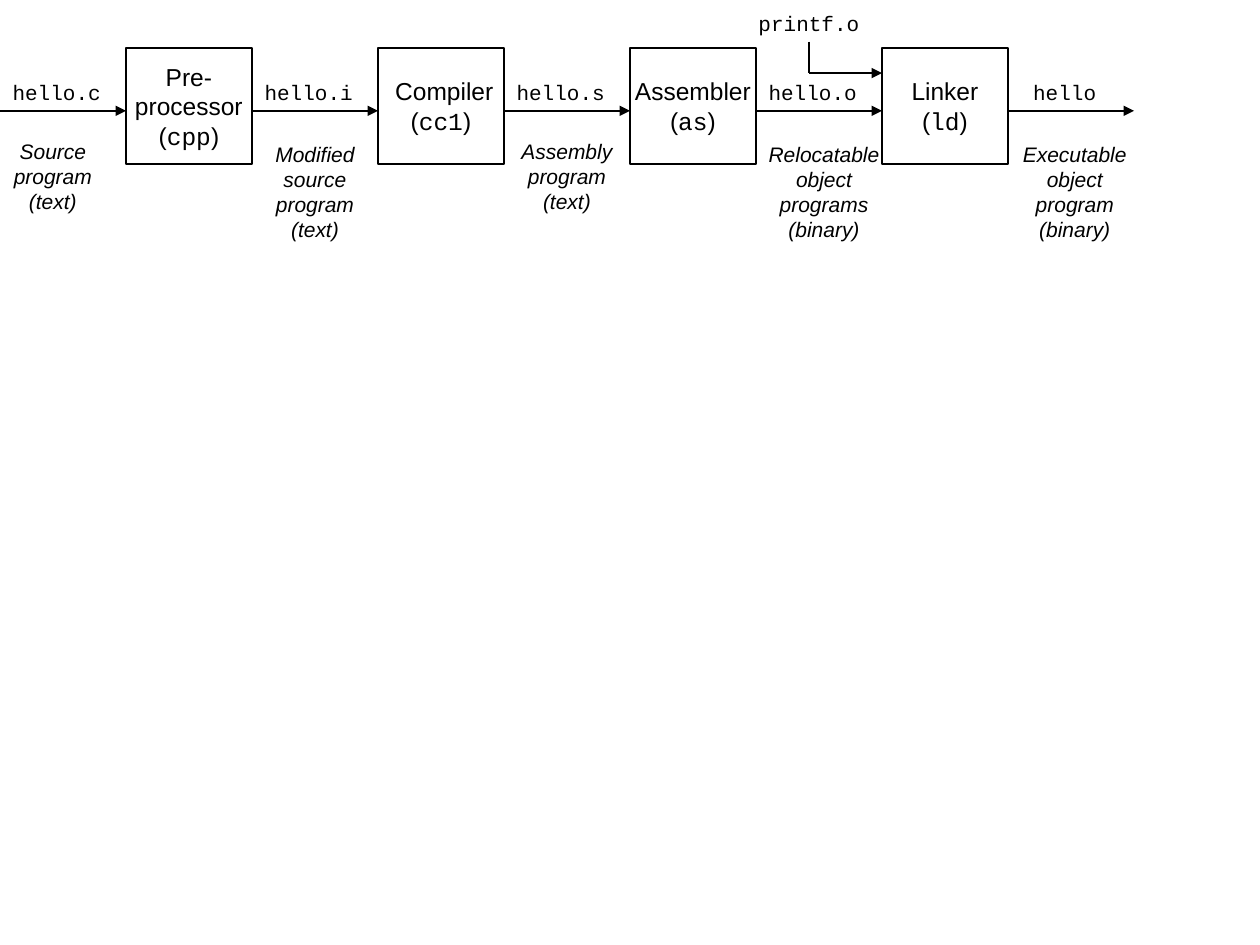
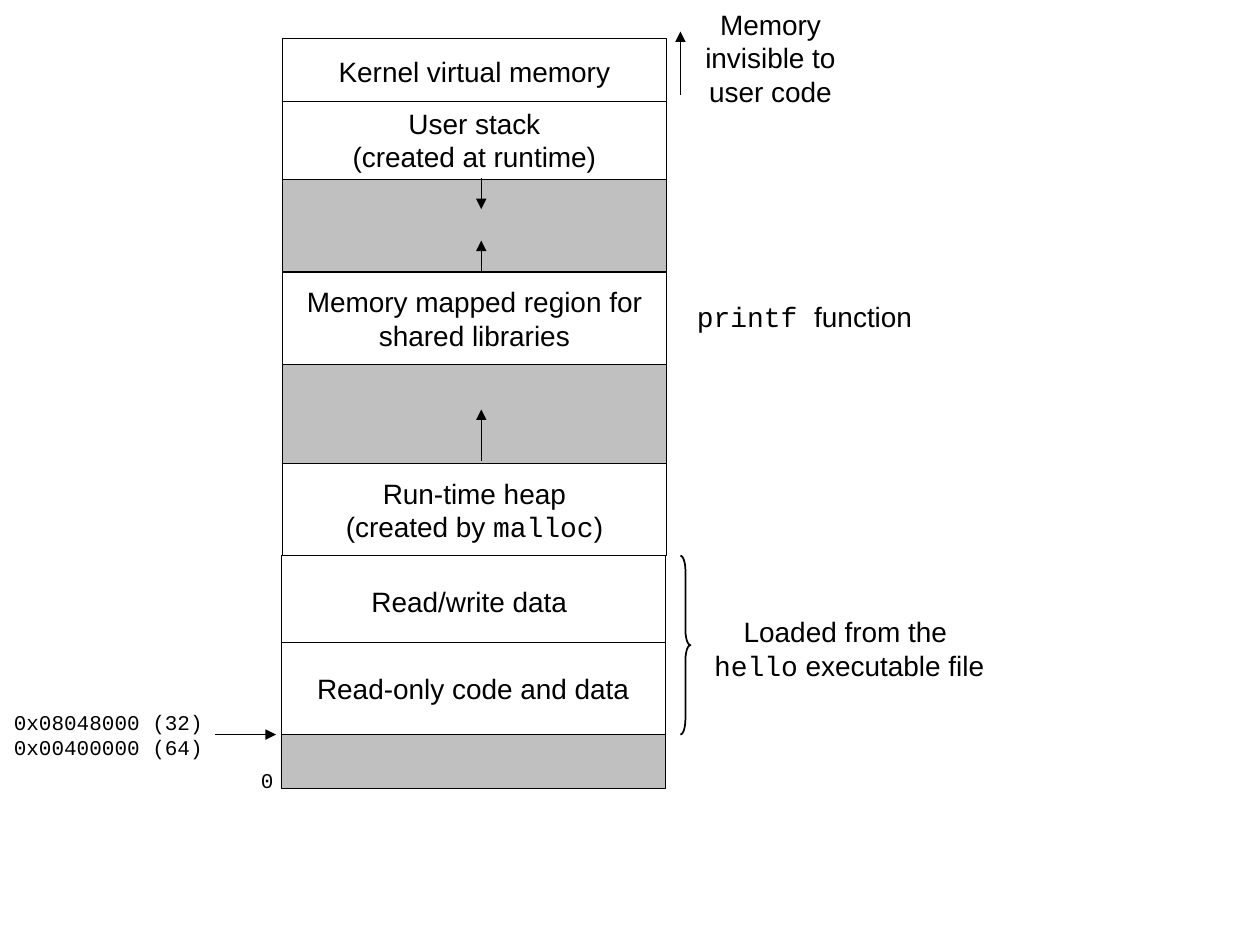
from lxml import etree
from pptx import Presentation
from pptx.dml.color import RGBColor
from pptx.enum.shapes import MSO_CONNECTOR, MSO_SHAPE
from pptx.enum.text import MSO_ANCHOR, MSO_AUTO_SIZE, PP_ALIGN
from pptx.oxml.ns import qn
from pptx.util import Inches, Pt

STRAIGHT = MSO_CONNECTOR.STRAIGHT
RECTANGLE, RIGHT_BRACE = MSO_SHAPE.RECTANGLE, MSO_SHAPE.RIGHT_BRACE
TOP, MIDDLE = MSO_ANCHOR.TOP, MSO_ANCHOR.MIDDLE
FIT_TEXT = MSO_AUTO_SIZE.SHAPE_TO_FIT_TEXT
CENTER = PP_ALIGN.CENTER

COLORS = {"ink": "000000", "used": "FFFFFF", "unused": "C0C0C0"}
BODY, CODE = "Arial", "Courier New"
THIN, NORMAL = 0.25, 1


def color(name):
    return RGBColor.from_string(COLORS[name])


def write(frame, text, size, italic=False, anchor=MIDDLE):
    """Fill a frame with centred lines; words between backticks are code."""
    frame.word_wrap = False
    frame.vertical_anchor = anchor
    for index, line in enumerate(text.split("\n")):
        paragraph = frame.add_paragraph() if index else frame.paragraphs[0]
        paragraph.alignment = CENTER
        font = paragraph.font
        font.size, font.italic = Pt(size), italic
        font.color.rgb = color("ink")
        parts = [(part, CODE if i % 2 else BODY)
                 for i, part in enumerate(line.split("`")) if part]
        if len(parts) == 1:
            font.name = parts[0][1]
        for part, face in parts:
            run = paragraph.add_run()
            run.text = part
            if len(parts) > 1:
                run.font.name = face


def add_label(slide, left, top, width, height, text, size,
              italic=False, anchor=MIDDLE):
    label = slide.shapes.add_textbox(*map(Inches, (left, top, width, height)))
    write(label.text_frame, text, size, italic, anchor)
    label.text_frame.auto_size = FIT_TEXT


def add_code_label(slide, center, top, text, anchor=MIDDLE):
    """Small code label whose box follows from its character count."""
    lines = text.split("\n")
    width = 0.1 * max(map(len, lines)) + 0.2
    code = "\n".join(f"`{line}`" for line in lines)
    add_label(slide, center - width / 2, top, width, 0.2 * len(lines) + 0.1,
              code, 12, anchor=anchor)


def add_outline(slide, kind, left, top, width, height, weight, fill=None):
    shape = slide.shapes.add_shape(
        kind, *map(Inches, (left, top, width, height)))
    shape.shadow.inherit = False
    shape.line.color.rgb = color("ink")
    shape.line.width = Pt(weight)
    if fill:
        shape.fill.solid()
        shape.fill.fore_color.rgb = color(fill)
    else:
        shape.fill.background()
    return shape


def add_line(slide, x1, y1, x2, y2, weight=NORMAL, arrow=True):
    line = slide.shapes.add_connector(
        STRAIGHT, *map(Inches, (x1, y1, x2, y2)))
    line.line.color.rgb = color("ink")
    line.line.width = Pt(weight)
    if arrow:
        outline = line.line._get_or_add_ln()
        etree.SubElement(outline, qn("a:tailEnd"), type="triangle")
    etree.SubElement(line._element.spPr, qn("a:effectLst"))


# Tool boxes of the compilation system
TOOLS = ["Pre-\nprocessor\n(`cpp`)", " Compiler\n(`cc1`)",
         "Assembler\n(`as`)", "Linker\n(`ld`)"]
# File name, description, and the centre and width of the description
FILES = [
    ("hello.c", "Source\nprogram\n(text)", 0.42, 0.86),
    ("hello.i", "Modified\nsource\nprogram\n(text)", 0.5, 0.88),
    ("hello.s", "Assembly\nprogram\n(text)", 0.5, 0.96),
    ("hello.o", "Relocatable\nobject\nprograms\n(binary)", 0.54, 1.12),
    ("hello", "Executable\nobject\nprogram\n(binary)", 0.53, 1.08),
]


def add_file_flow(slide, left, top, file_name, description, center, width):
    """Arrow one inch long with the file name above and its kind below."""
    flow = top + 0.5
    add_line(slide, left, flow, left + 1, flow)
    add_code_label(slide, left + 0.45, flow - 0.3, file_name)
    rows = description.count("\n") + 1
    drop = 0.19 if rows > 3 else 0.17
    add_label(slide, left + center - width / 2, flow + drop, width,
              0.2 * rows + 0.1, description, 12, italic=True)


def add_library_input(slide, left, top):
    """Elbow that leads printf.o into the linker."""
    add_code_label(slide, left, top, "printf.o")
    add_line(slide, left, top + 0.3, left, top + 0.55, arrow=False)
    add_line(slide, left, top + 0.55, left + 0.58, top + 0.55)


def build_compilation(slide, left=0, top=0.38):
    for step, tool in enumerate(TOOLS):
        box = add_outline(slide, RECTANGLE, left + 2 * step + 1, top,
                          1, 0.92, NORMAL)
        write(box.text_frame, tool, 14)
    for step, file in enumerate(FILES):
        add_file_flow(slide, left + 2 * step, top, *file)
    add_library_input(slide, left + 6.42, top - 0.35)


# Text, top within the memory column, height; no text means unused memory
RUNTIME_REGIONS = [
    ("Kernel virtual memory", 0, 0.53),
    ("Memory mapped region for\nshared libraries", 1.86, 0.73),
    ("", 2.59, 0.79),
    ("Run-time heap\n(created by `malloc`)", 3.38, 0.73),
    ("", 0.86, 0.99),
    ("User stack\n(created at runtime)", 0.5, 0.62),
]
LOADED_REGIONS = [
    ("", 5.53, 0.43),
    ("Read/write data ", 4.11, 0.73),
    ("Read-only code and data", 4.8, 0.73),
]
# Start and end of each arrow that shows a region growing
GROWTH = [(3.36, 2.95), (1.86, 1.61), (1.11, 1.36)]


def add_regions(slide, left, top, regions):
    for text, offset, height in regions:
        region = add_outline(slide, RECTANGLE, left, top + offset, 3.05,
                             height, THIN, "used" if text else "unused")
        if text:
            write(region.text_frame, text, 16)


def add_region_notes(slide, left, top):
    """Remarks to the right of the memory column."""
    add_line(slide, left, top + 0.45, left, top - 0.05, THIN)
    brace = add_outline(slide, RIGHT_BRACE, left, top + 4.11,
                        0.08, 1.42, NORMAL)
    brace.adjustments[0] = 1.5
    for text, x, y, width, height in [
        ("Memory\ninvisible to\nuser code", 0.06, -0.29, 1.31, 0.9),
        ("`printf `function", 0.01, 2.03, 1.95, 0.37),
        ("Loaded from the \n`hello` executable file", 0.15, 4.53, 2.38, 0.64),
    ]:
        add_label(slide, left + x, top + y, width, height, text, 16,
                  anchor=TOP)


def add_addresses(slide, left, top):
    """Start addresses to the left of the memory column."""
    add_code_label(slide, left + 0.85, top - 0.25,
                   "0x08048000 (32)\n0x00400000 (64)", TOP)
    add_line(slide, left + 1.7, top, left + 2.18, top)
    add_code_label(slide, left + 2.11, top + 0.21, "0", TOP)


def build_address_space(slide, left=2.24, top=0.3):
    add_regions(slide, left, top, RUNTIME_REGIONS)
    add_regions(slide, left - 0.01, top, LOADED_REGIONS)
    growth_x = left + 1.58
    for start, end in GROWTH:
        add_line(slide, growth_x, top + start, growth_x, top + end, THIN)
    add_region_notes(slide, left + 3.16, top)
    add_addresses(slide, left - 2.23, top + 5.53)


def main():
    deck = Presentation()
    deck.slide_width, deck.slide_height = Inches(10), Inches(7.5)
    blank = deck.slide_layouts[6]
    for build in (build_compilation, build_address_space):
        build(deck.slides.add_slide(blank))
    deck.save("out.pptx")


if __name__ == "__main__":
    main()
